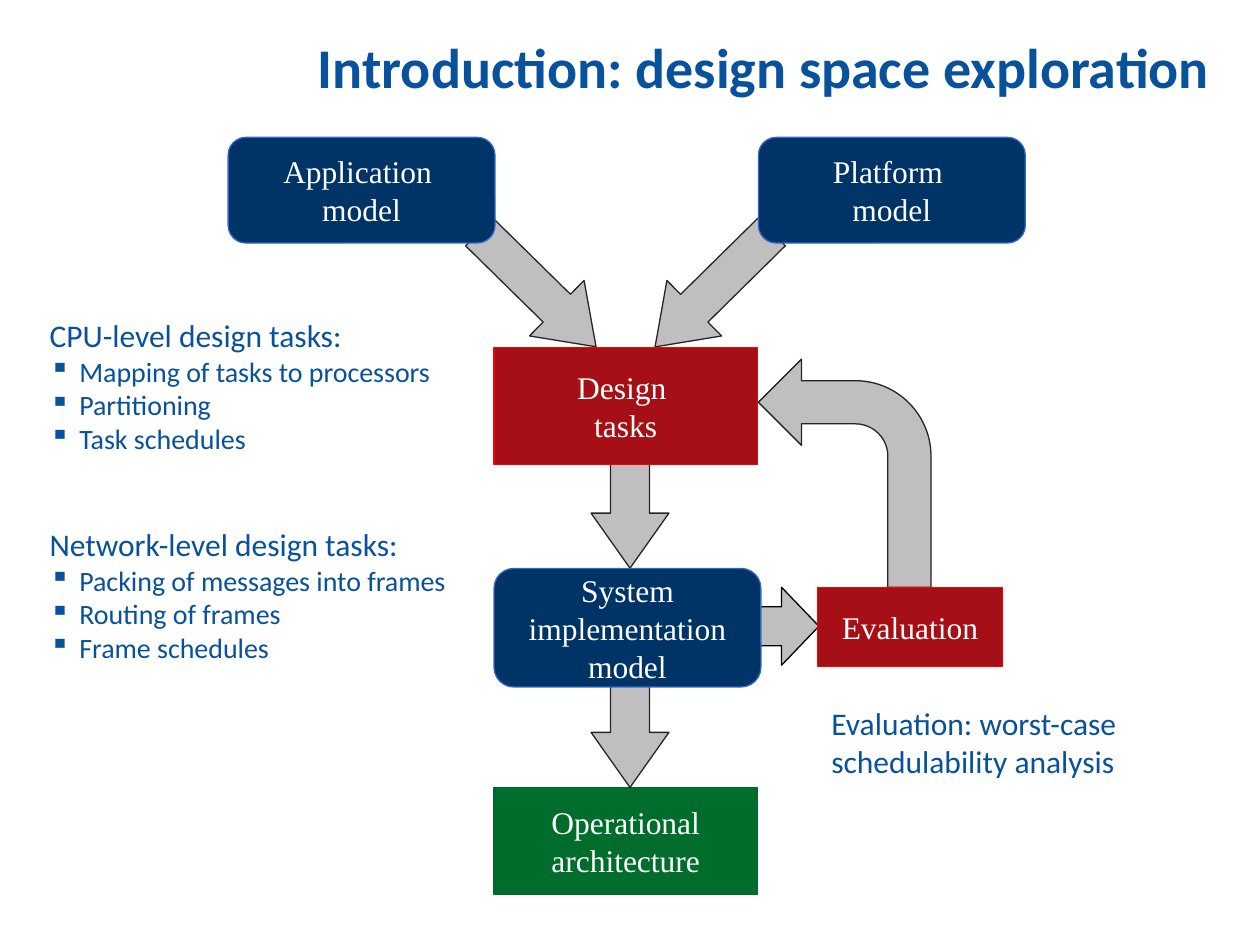
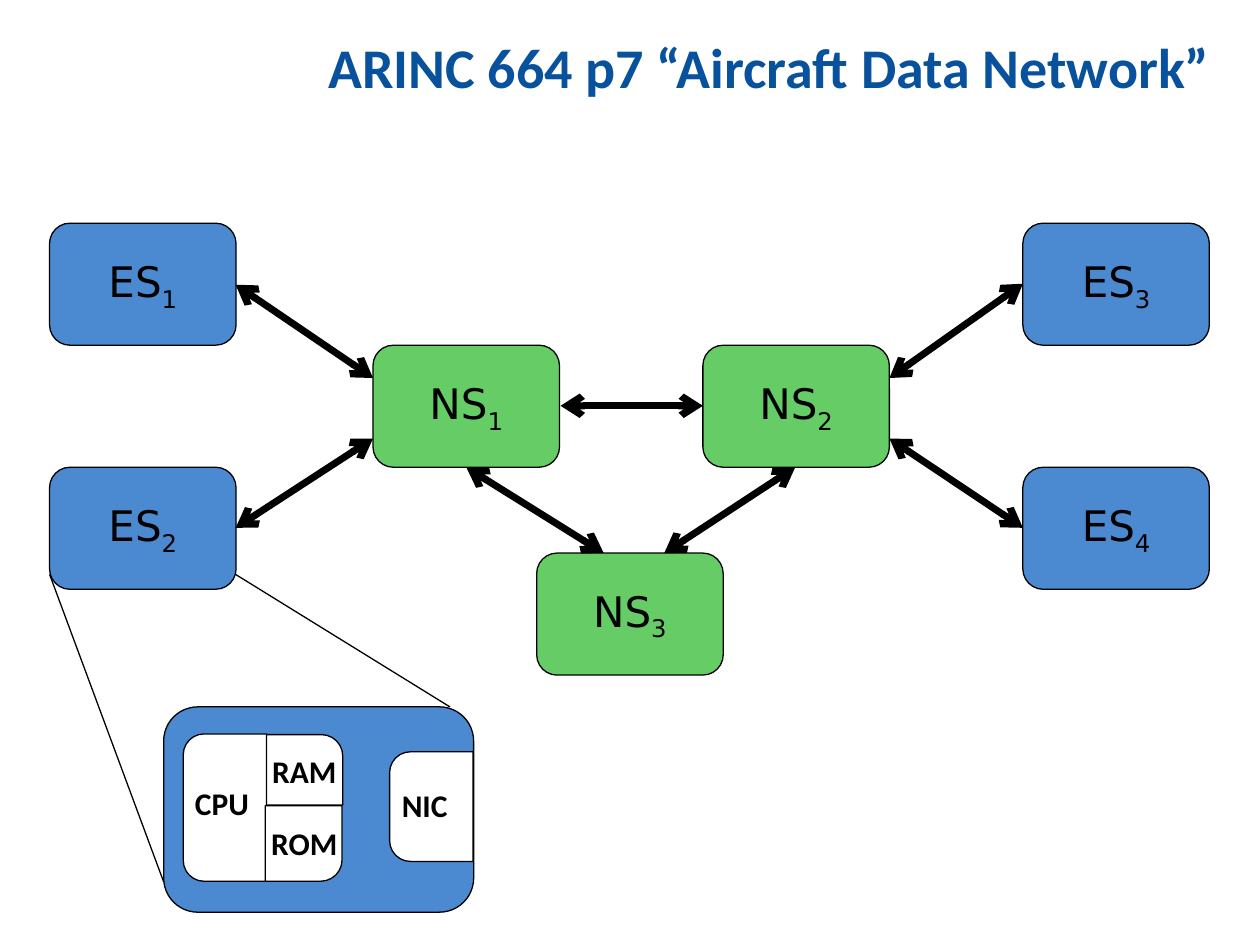
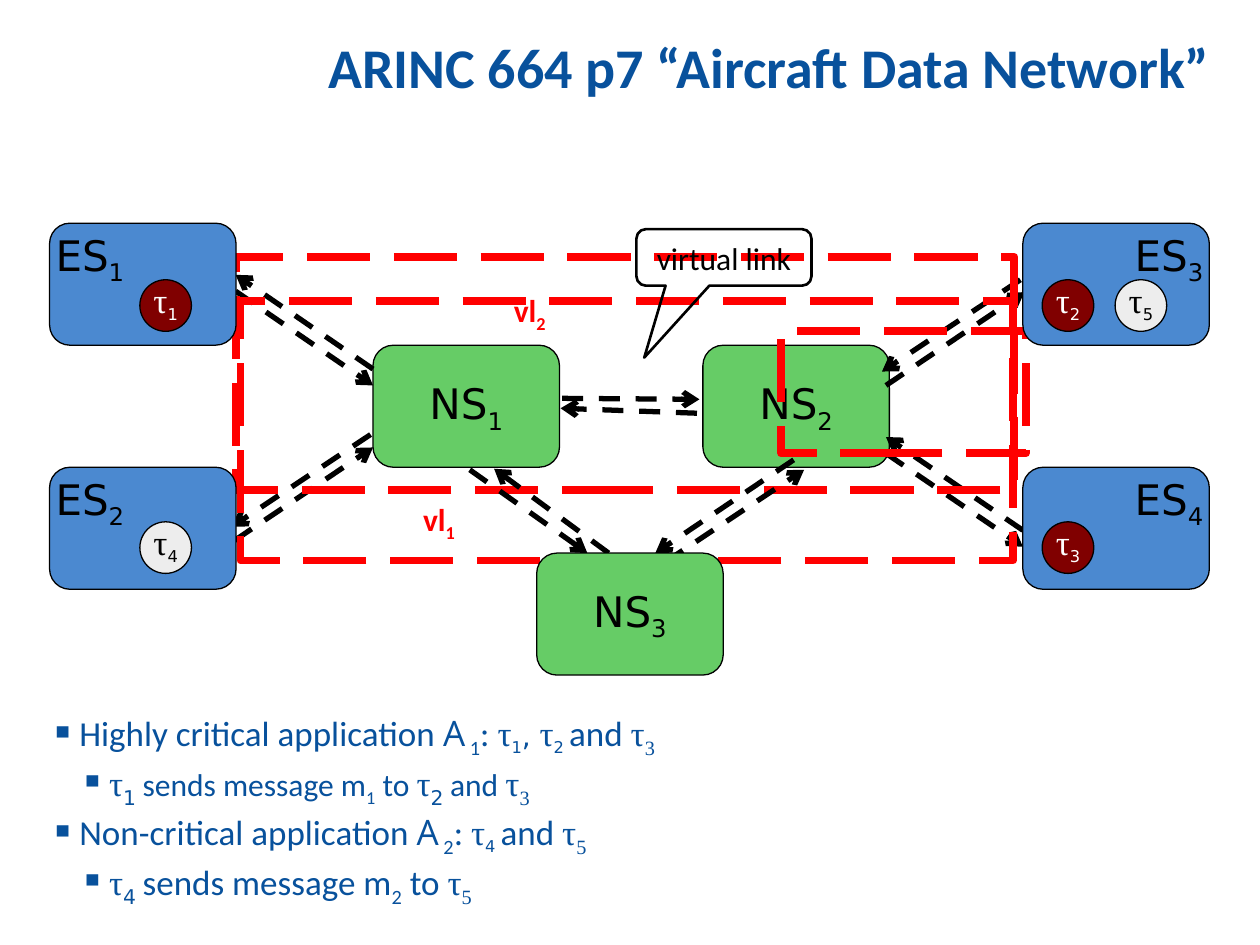
from lxml import etree
from pptx import Presentation
from pptx import util as u
from pptx.dml.color import RGBColor
from pptx.enum import dml, shapes, text
from pptx.oxml.ns import qn

COLORS = {
    "blue": "08519C", "white": "FFFFFF", "black": "000000", "navy": "003366",
    "edge": "3366CC", "crimson": "A50F15", "red": "FF0000", "green": "006D2C",
    "forest": "006633", "gray": "BFBFBF", "charcoal": "252525", "station": "4B89D0",
    "switch": "66CC66", "maroon": "800000", "silver": "EDEDED",
}
SANS, SERIF, DEJAVU = "Calibri", "Times New Roman", "DejaVu Sans"


def style(name, size, color, bold=False, low=False):
    return {"name": name, "size": u.Pt(size), "bold": bold, "color": color, "low": low}


STYLES = {
    "title": style(SANS, 32, "blue", bold=True),
    "head": style(SANS, 18, "blue"),
    "head low": style(SANS, 18, "blue", low=True),
    "item": style(SANS, 16, "blue"),
    "flow": style(SERIF, 18, "white"),
    "node": style(DEJAVU, 24, "black"),
    "node low": style(DEJAVU, 24, "black", low=True),
    "part": style(SANS, 18, "black", bold=True),
    "callout": style(SANS, 18, "black"),
    "link": style(SANS, 18, "red", bold=True),
    "link low": style(SANS, 18, "red", bold=True, low=True),
    "body": style(SANS, 20, "blue"),
    "body low": style(SANS, 20, "blue", low=True),
    "letter": style("Open Sans", 20, "blue"),
    "tau": style(SERIF, 20, "blue"),
    "tau low": style(SERIF, 20, "blue", low=True),
    "index": style(DEJAVU, 16, "blue", low=True),
    "comma": style(DEJAVU, 16, "blue"),
    "wide index": style(DEJAVU, 20, "blue", low=True),
}
for tone in ("white", "black"):
    STYLES[f"task {tone}"] = style(SERIF, 20, tone)
    STYLES[f"task {tone} low"] = style(DEJAVU, 16, tone, low=True)

KIND = shapes.MSO_SHAPE
LEFT, CENTER, RIGHT = text.PP_ALIGN.LEFT, text.PP_ALIGN.CENTER, text.PP_ALIGN.RIGHT
TOP, MIDDLE, BOTTOM = text.MSO_ANCHOR.TOP, text.MSO_ANCHOR.MIDDLE, text.MSO_ANCHOR.BOTTOM
NODE_W, NODE_H = 3.76, 2.46
TASK_SIZE = 1.04
STATIONS = {"1": (1, 4.5), "2": (1, 9.42), "3": (20.62, 4.5), "4": (20.62, 9.42)}
SWITCHES = {"1": (7.52, 6.96), "2": (14.17, 6.96), "3": (10.82, 11.15)}


def rgb(name):
    return RGBColor.from_string(COLORS[name])


def plain(words, look):
    return [(None, [(words, look)])]


def indexed(words, index, look):
    return [(None, [(words, look), (index, f"{look} low")])]


class Deck:
    def __init__(self):
        self.deck = Presentation()
        self.deck.slide_width, self.deck.slide_height = u.Cm(25.4), u.Cm(19.05)
        self.page = None

    def slide(self, heading):
        self.page = self.deck.slides.add_slide(self.deck.slide_layouts[5])
        title = self.page.shapes.title
        sides = zip(("left", "top", "width", "height"), (1, 0, 23.4, 2))
        for side, length in sides:
            setattr(title, side, u.Cm(length))
        self.set_text(title, plain(heading, "title"), RIGHT, BOTTOM)
        title.text_frame.paragraphs[0].line_spacing = 0.8

    def set_text(self, box, paragraphs, align=LEFT, anchor=TOP, inset=(0, 0), gap=0):
        frame = box.text_frame
        side, top = map(u.Cm, inset)
        layout = {
            "word_wrap": True, "auto_size": text.MSO_AUTO_SIZE.NONE, "vertical_anchor": anchor,
            "margin_left": side, "margin_right": side, "margin_top": top, "margin_bottom": top,
        }
        for key, value in layout.items():
            setattr(frame, key, value)
        for number, (level, spans) in enumerate(paragraphs):
            para = frame.add_paragraph() if number else frame.paragraphs[0]
            para.alignment = align
            para.space_before = u.Pt(gap if number else 0)
            if level is not None:
                self.bullet(para, level)
            for words, look in spans:
                for order, line in enumerate(words.split("\n")):
                    if order:
                        para.add_line_break()
                    self.span(para, line, STYLES[look])

    def bullet(self, para, level):
        para.level = level
        properties = para._p.get_or_add_pPr()
        properties.set("marL", str(u.Cm(0.6 * (level + 1))))
        properties.set("indent", str(-u.Cm(0.6)))
        etree.SubElement(properties, qn("a:buChar")).set("char", "▪")

    def span(self, para, words, look):
        span = para.add_run()
        span.text = words
        for key in ("name", "size", "bold"):
            setattr(span.font, key, look[key])
        span.font.color.rgb = rgb(look["color"])
        if look["low"]:
            span._r.get_or_add_rPr().set("baseline", "-25000")

    def label(self, place, paragraphs, **layout):
        self.set_text(self.page.shapes.add_textbox(*map(u.Cm, place)), paragraphs, **layout)

    def shape(self, kind, place, fill, line, weight=0.75, rotation=0, adjust=(),
              flip=False, dash=None, paragraphs=None, align=CENTER, anchor=MIDDLE):
        box = self.page.shapes.add_shape(kind, *map(u.Cm, place))
        box.shadow.inherit = False
        box.rotation = rotation
        for number, value in enumerate(adjust):
            box.adjustments[number] = value
        if fill:
            box.fill.solid()
            box.fill.fore_color.rgb = rgb(fill)
        else:
            box.fill.background()
        box.line.color.rgb = rgb(line)
        box.line.width = u.Pt(weight)
        if dash:
            box.line.dash_style = dash
        if flip:
            box._element.spPr.find(qn("a:xfrm")).set("flipH", "1")
        if paragraphs:
            self.set_text(box, paragraphs, align, anchor)

    def line(self, ends, weight=0.75, heads=(), dash=None):
        line = self.page.shapes.add_connector(shapes.MSO_CONNECTOR.STRAIGHT, *map(u.Cm, ends))
        line.line.color.rgb = rgb("black")
        line.line.width = u.Pt(weight)
        if dash:
            line.line.dash_style = dash
        for head in heads:
            etree.SubElement(line.line._get_or_add_ln(), qn(f"a:{head}")).set("type", "arrow")
        etree.SubElement(line._element.spPr, qn("a:effectLst"))

    def model(self, place, words):
        self.shape(KIND.ROUNDED_RECTANGLE, place, "navy", "edge", paragraphs=plain(words, "flow"))

    def step(self, place, words, fill="crimson", line="red"):
        self.shape(KIND.RECTANGLE, place, fill, line, paragraphs=plain(words, "flow"))

    def arrow(self, left, top, rotation):
        self.shape(KIND.RIGHT_ARROW, (left, top, 3.3, 1.57), "gray", "charcoal",
                   rotation=rotation, adjust=(0.5, 0.707))

    def node(self, prefix, index, spot, fill, align=CENTER, anchor=MIDDLE):
        self.shape(KIND.ROUNDED_RECTANGLE, (*spot, NODE_W, NODE_H), fill, "black",
                   paragraphs=indexed(prefix, index, "node"), align=align, anchor=anchor)

    def task(self, index, spot, critical):
        fill, tone = ("maroon", "white") if critical else ("silver", "black")
        self.shape(KIND.OVAL, (*spot, TASK_SIZE, TASK_SIZE), fill, "black",
                   paragraphs=indexed("τ", index, f"task {tone}"), anchor=BOTTOM)


def add_exploration(deck):
    deck.slide("Introduction: design space exploration")
    deck.label((16.76, 14.2, 8.64, 3.56),
               plain("Evaluation: worst-case schedulability analysis", "head"))
    deck.step((9.96, 15.88, 5.31, 2.16), "Operational architecture", "green", "forest")
    for left, top, rotation in ((9.19, 5.05, 44.5), (12.73, 5.05, 135.4),
                                (11.05, 9.02, 90), (11.05, 13.44, 90)):
        deck.arrow(left, top, rotation)
    deck.shape(KIND.RIGHT_ARROW, (14.17, 11.84, 2.34, 1.57), "gray", "black", adjust=(0.5, 0.479))
    deck.model((4.6, 2.77, 5.38, 2.13), "Application \nmodel")
    deck.model((15.29, 2.77, 5.38, 2.13), "Platform \nmodel")
    deck.model((9.96, 11.46, 5.38, 2.39), "System implementation model")
    deck.shape(KIND.BENT_ARROW, (15.29, 7.24, 3.48, 4.6), "gray", "charcoal",
               adjust=(0.25, 0.25, 0.25, 0.438), flip=True)
    deck.step((16.48, 11.84, 3.73, 1.6), "Evaluation")
    deck.step((9.96, 7.01, 5.31, 2.36), "Design \ntasks")
    groups = (
        (6.38, "CPU-level design tasks:",
         ("Mapping of tasks to processors", "Partitioning", "Task schedules")),
        (10.59, "Network-level design tasks:",
         ("Packing of messages into frames", "Routing of frames", "Frame schedules")),
    )
    for top, heading, items in groups:
        bullets = [(0, [(item, "item")]) for item in items]
        deck.label((1, top, 8.64, 3.56), plain(heading, "head") + bullets)


def add_network(deck):
    deck.slide("ARINC 664 p7 “Aircraft Data Network”")
    for index, spot in STATIONS.items():
        deck.node("ES", index, spot, "station")
    for index, spot in SWITCHES.items():
        deck.node("NS", index, spot, "switch")
    links = (
        (4.75, 5.74, 7.52, 7.62), (17.93, 8.84, 20.62, 10.64), (17.93, 7.62, 20.62, 5.72),
        (4.75, 10.64, 7.52, 8.84), (11.3, 8.18, 14.17, 8.18), (9.4, 9.42, 12.17, 11.15),
        (16.03, 9.42, 13.39, 11.15),
    )
    for ends in links:
        deck.line(ends, 4, ("headEnd", "tailEnd"))
    deck.shape(KIND.ROUNDED_RECTANGLE, (3.3, 14.25, 6.25, 4.14), "station", "black")
    for ends in ((1, 11.58, 3.3, 17.78), (4.75, 11.58, 9.07, 14.25)):
        deck.line(ends)
    parts = (
        (KIND.ROUND_1_RECTANGLE, (5.36, 14.81, 1.55, 1.42), 0, 0.302),
        (KIND.ROUND_2_SAME_RECTANGLE, (3.05, 15.44, 2.97, 1.68), 270, 0.25),
        (KIND.ROUND_1_RECTANGLE, (5.36, 16.23, 1.52, 1.55), 90, 0.282),
        (KIND.ROUND_2_SAME_RECTANGLE, (7.59, 15.42, 2.21, 1.68), 270, 0.25),
    )
    for kind, place, rotation, corner in parts:
        deck.shape(kind, place, "white", "black", rotation=rotation, adjust=(corner,))
    for words, top in (("RAM", 14.78), ("ROM", 16.23)):
        deck.label((5.36, top, 1.55, 1.52), plain(words, "part"), align=CENTER, anchor=MIDDLE)
    for words, left, top in (("CPU", 3.68, 15.67), ("NIC", 7.85, 15.72)):
        deck.label((left, top, 1.68, 1.78), plain(words, "part"), inset=(0.25, 0.13))


def add_virtual_links(deck):
    deck.slide("ARINC 664 p7 “Aircraft Data Network”")
    for index in "12":
        deck.node("NS", index, SWITCHES[index], "switch")
    station_links = (
        (4.75, 5.87, 7.52, 7.77), (7.52, 7.44, 4.75, 5.54), (4.72, 10.9, 7.52, 9.02),
        (7.47, 8.76, 4.67, 10.62), (17.86, 9.14, 20.62, 11.02), (20.62, 10.69, 17.86, 8.81),
        (17.86, 7.77, 20.65, 5.89), (20.57, 5.64, 17.78, 7.49), (11.33, 8.03, 14.1, 8.05),
        (14.05, 8.33, 11.3, 8.23),
    )
    switch_links = (
        (13.41, 11.33, 16.21, 9.47), (16, 9.27, 13.21, 11.15),
        (9.47, 9.47, 11.84, 11.15), (12.27, 11.15, 9.96, 9.45),
    )

    def draw_links(links):
        for ends in links:
            deck.line(ends, 3, ("tailEnd",), dml.MSO_LINE.DASH)

    draw_links(station_links)
    for place in ((4.75, 5.18, 15.7, 4.7), (15.75, 6.68, 4.93, 2.46), (4.85, 6.07, 15.57, 5.23)):
        deck.shape(KIND.RECTANGLE, place, None, "red", 4.5, dash=dml.MSO_LINE.LONG_DASH)
    for index, left, top in (("2", 10.11, 5.74), ("1", 8.28, 9.96)):
        deck.label((left, top, 1.35, 1.88), indexed("vl", index, "link"), inset=(0.25, 0.13))
    for index, spot in STATIONS.items():
        deck.node("ES", index, spot, "station", LEFT if index in "12" else RIGHT, TOP)
    tasks = (("1", 2.82, 5.64, True), ("4", 2.82, 10.52, False), ("2", 21.01, 5.64, True),
             ("5", 22.48, 5.64, False), ("3", 21.01, 10.52, True))
    for index, left, top, critical in tasks:
        deck.task(index, (left, top), critical)
    tau = ("τ", "tau")
    applications = [
        (0, [("Highly critical application ", "body"), ("A", "letter"), (" 1", "body low"),
             (": ", "body"), tau, ("1", "index"), (", ", "comma"), tau, ("2 ", "index"),
             ("and ", "body"), tau, ("3", "tau low")]),
        (1, [tau, ("1 ", "wide index"), ("sends message m", "head"), ("1", "head low"),
             (" to ", "head"), tau, ("2 ", "wide index"), ("and ", "head"), tau,
             ("3", "tau low")]),
        (0, [("Non-critical application ", "body"), ("A", "letter"), (" 2", "body low"),
             (": ", "body"), tau, ("4 ", "index"), ("and ", "body"), tau, ("5", "tau low")]),
        (1, [tau, ("4 ", "wide index"), ("sends message m", "body"), ("2", "body low"),
             (" to ", "body"), tau, ("5", "tau low")]),
    ]
    deck.label((1, 14.35, 16.94, 1.78), applications, gap=1)
    deck.shape(KIND.ROUNDED_RECTANGULAR_CALLOUT, (12.83, 4.62, 3.53, 1.14), None, "black", 1.5,
               adjust=(-0.455, 1.772, 0.167), paragraphs=plain("virtual link", "callout"))
    draw_links(switch_links)
    deck.node("NS", "3", SWITCHES["3"], "switch")


def main():
    deck = Deck()
    for add_page in (add_exploration, add_network, add_virtual_links):
        add_page(deck)
    deck.deck.save("out.pptx")


if __name__ == "__main__":
    main()
